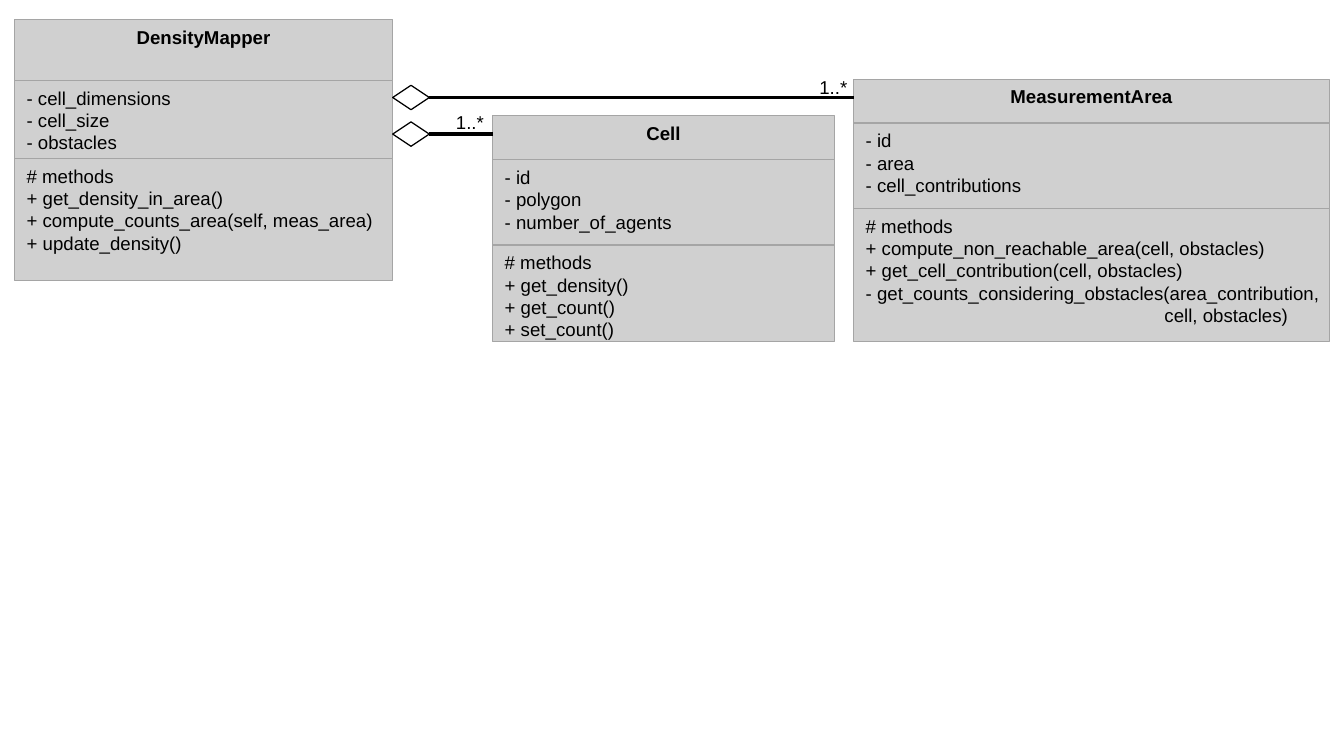
from pptx import Presentation
from pptx.dml.color import RGBColor
from pptx.enum.shapes import MSO_CONNECTOR, MSO_SHAPE
from pptx.enum.text import MSO_ANCHOR, PP_ALIGN
from pptx.oxml.ns import qn
from pptx.util import Pt
from lxml import etree

PX = 9144
GREY = RGBColor(0xD0, 0xD0, 0xD0)
EDGE = RGBColor(0xA5, 0xA5, 0xA5)
BLACK = RGBColor(0, 0, 0)
WHITE = RGBColor(0xFF, 0xFF, 0xFF)
RECT, DIAMOND = MSO_SHAPE.RECTANGLE, MSO_SHAPE.DIAMOND
STRAIGHT = MSO_CONNECTOR.STRAIGHT
TOP = MSO_ANCHOR.TOP
LEFT, CENTER = PP_ALIGN.LEFT, PP_ALIGN.CENTER
CONTINUATION_INDENT = 245

prs = Presentation()
prs.slide_width, prs.slide_height = 1102 * PX, 620 * PX
s = prs.slides.add_slide(prs.slide_layouts[6])


def add_box(kind, x, y, w, h, fill, edge):
    sp = s.shapes.add_shape(kind, x * PX, y * PX, w * PX, h * PX)
    sp.shadow.inherit = False
    sp.fill.solid()
    sp.fill.fore_color.rgb = fill
    sp.line.color.rgb = edge
    sp.line.width = Pt(0)
    return sp


def add_lines(tf, lines, align=LEFT, bold=False):
    tf.vertical_anchor = TOP
    for i, line in enumerate(lines):
        p = tf.paragraphs[0] if i == 0 else tf.add_paragraph()
        p.alignment = align
        if line.startswith("cell,"):
            p._p.get_or_add_pPr().set("marL", str(CONTINUATION_INDENT * PX))
        r = p.add_run()
        r.text = line
        r.font.name = "Arial"
        r.font.size = Pt(11)
        r.font.bold = bold
        r.font.color.rgb = BLACK


classes = [
    (12, 16, 310, [
        (50, ["DensityMapper"]),
        (64, ["- cell_dimensions", "- cell_size", "- obstacles"]),
        (100, ["# methods", "+ get_density_in_area()",
               "+ compute_counts_area(self, meas_area)", "+ update_density()"]),
    ]),
    (404, 95, 280, [
        (36, ["Cell"]),
        (70, ["- id", "- polygon", "- number_of_agents"]),
        (79, ["# methods", "+ get_density()", "+ get_count()", "+ set_count()"]),
    ]),
    (700, 65, 390, [
        (36, ["MeasurementArea"]),
        (70, ["- id", "- area", "- cell_contributions"]),
        (109, ["# methods", "+ compute_non_reachable_area(cell, obstacles)",
               "+ get_cell_contribution(cell, obstacles)",
               "- get_counts_considering_obstacles(area_contribution,",
               "cell, obstacles)"]),
    ]),
]
for x, y, w, sections in classes:
    for i, (h, lines) in enumerate(sections):
        tf = add_box(RECT, x, y, w, h, GREY, EDGE).text_frame
        tf.word_wrap = False
        add_lines(tf, lines, CENTER if i == 0 else LEFT, i == 0)
        y += h

aggregations = [(80, 700, 662, 57), (110, 404, 364, 86)]
for y, x_end, label_x, label_y in aggregations:
    add_box(DIAMOND, 322, y - 10, 30, 20, WHITE, BLACK)
    cx = s.shapes.add_connector(STRAIGHT, 352 * PX, y * PX, x_end * PX, y * PX)
    cx.line.color.rgb = BLACK
    cx.line.width = Pt(0)
    etree.SubElement(cx._element.spPr, qn("a:effectLst"))
    tf = s.shapes.add_textbox(label_x * PX, label_y * PX, 50 * PX, 27 * PX).text_frame
    tf.word_wrap = True
    add_lines(tf, ["1..*"])

prs.save("out.pptx")
